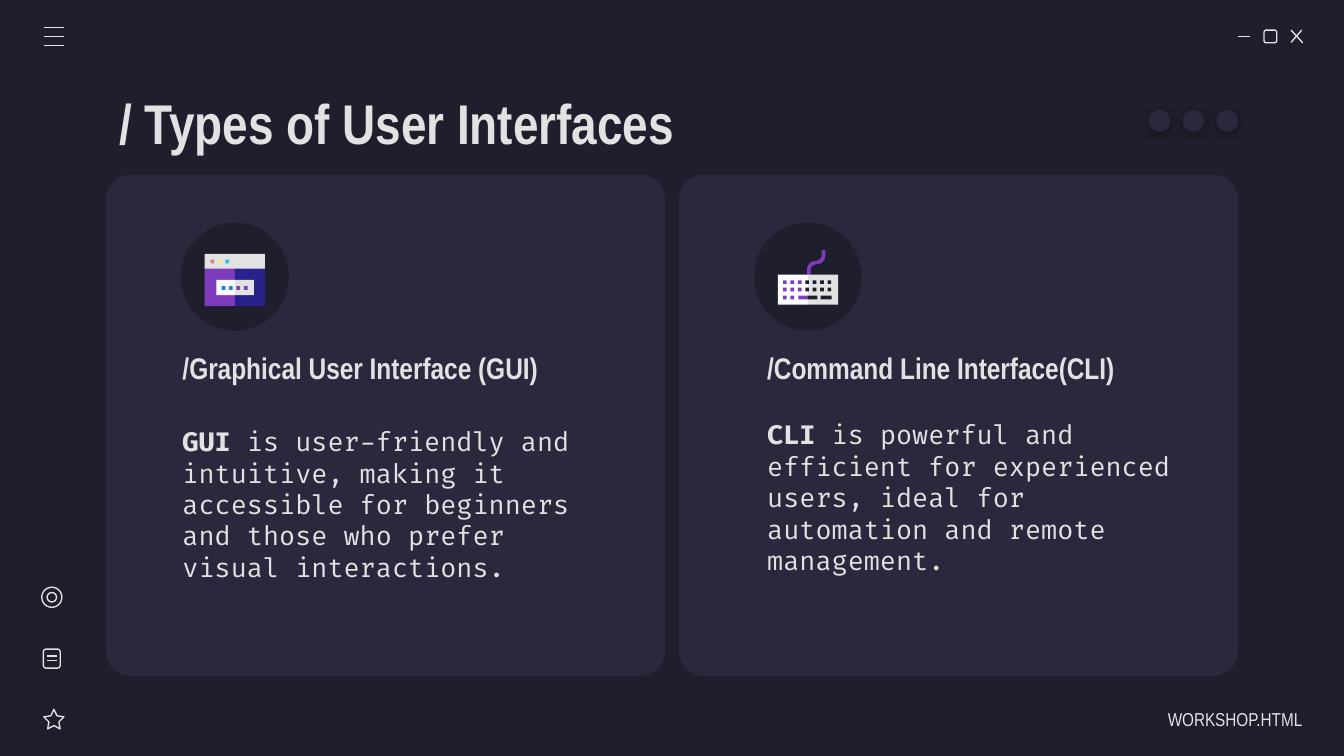
"""Build the slide comparing graphical and command line user interfaces."""
from dataclasses import dataclass

from lxml import etree
from pptx import Presentation
from pptx.dml.color import RGBColor
from pptx.enum.shapes import MSO_CONNECTOR, MSO_SHAPE
from pptx.enum.text import MSO_ANCHOR, PP_ALIGN
from pptx.oxml.ns import qn
from pptx.util import Cm, Pt

RECT, ROUND = MSO_SHAPE.RECTANGLE, MSO_SHAPE.ROUNDED_RECTANGLE
OVAL, STAR = MSO_SHAPE.OVAL, MSO_SHAPE.STAR_5_POINT
STRAIGHT = MSO_CONNECTOR.STRAIGHT
MIDDLE = MSO_ANCHOR.MIDDLE
LEFT, RIGHT = PP_ALIGN.LEFT, PP_ALIGN.RIGHT


@dataclass(frozen=True)
class Theme:
    """Colours, fonts and type sizes."""
    back: str = "1E1E2C"
    card: str = "29283D"
    light: str = "E2E2E2"
    white: str = "FFFFFF"
    purple: str = "7E3BBE"
    indigo: str = "2B218D"
    blue: str = "0887F2"
    cyan: str = "24BFEB"
    yellow: str = "FFEA7D"
    rose: str = "E07A88"
    head_font: str = "Arial Narrow"
    body_font: str = "Fira Code"
    title: float = 30
    heading: float = 16
    body: float = 14
    footer: float = 10
    stroke: float = 0.75


class Deck:
    """Holds the theme and the slide being drawn."""

    def __init__(self, s, theme):
        self.s, self.t = s, theme
        fill = s.background.fill
        fill.solid()
        fill.fore_color.rgb = RGBColor.from_string(theme.back)

    def paint(self, sp, fill):
        """Fill a shape, or outline it when no fill is given."""
        sp.shadow.inherit = False
        if fill:
            sp.fill.solid()
            sp.fill.fore_color.rgb = RGBColor.from_string(fill)
            sp.line.fill.background()
        else:
            sp.fill.background()
            self.stroke(sp)
        return sp

    def stroke(self, sp):
        """Give a shape or line the thin light stroke."""
        sp.line.color.rgb = RGBColor.from_string(self.t.light)
        sp.line.width = Pt(self.t.stroke)

    def shape(self, kind, x, y, w, h, fill=None, adj=None):
        """Add a preset shape."""
        sp = self.s.shapes.add_shape(kind, Cm(x), Cm(y), Cm(w), Cm(h))
        if adj is not None:
            sp.adjustments[0] = adj
        return self.paint(sp, fill)

    def line(self, x1, y1, x2, y2):
        """Add a thin straight line."""
        sp = self.s.shapes.add_connector(STRAIGHT, Cm(x1), Cm(y1), Cm(x2), Cm(y2))
        self.stroke(sp)
        etree.SubElement(sp._element.spPr, qn("a:effectLst"))

    def outline(self, points, fill):
        """Add a closed freeform."""
        pts = [(Cm(x), Cm(y)) for x, y in points]
        builder = self.s.shapes.build_freeform(*pts[0])
        builder.add_line_segments(pts[1:], close=True)
        return self.paint(builder.convert_to_shape(), fill)

    def shadow(self, sp):
        """Add a soft shadow below a shape."""
        effects = sp._element.spPr.find(qn("a:effectLst"))
        outer = etree.SubElement(effects, qn("a:outerShdw"), blurRad=str(Pt(4.5)),
                                 dist=str(Pt(1.5)), dir="5400000", algn="bl", rotWithShape="0")
        color = etree.SubElement(outer, qn("a:srgbClr"), val="000000")
        etree.SubElement(color, qn("a:alpha"), val="30000")

    def text(self, x, y, w, h, runs, size, font, align=LEFT, right=0.25):
        """Add a text box from (text, bold) runs."""
        tf = self.s.shapes.add_textbox(Cm(x), Cm(y), Cm(w), Cm(h)).text_frame
        tf.word_wrap = True
        tf.vertical_anchor = MIDDLE
        tf.margin_left = tf.margin_top = tf.margin_bottom = Cm(0.25)
        tf.margin_right = Cm(right)
        p = tf.paragraphs[0]
        p.alignment = align
        for words, bold in runs:
            r = p.add_run()
            r.text = words
            r.font.size, r.font.name, r.font.bold = Pt(size), font, bold
            r.font.color.rgb = RGBColor.from_string(self.t.light)

    def squares(self, x, y, colors):
        """Add a row of small squares."""
        for i, color in enumerate(colors):
            self.shape(RECT, x + 0.14 * i, y, 0.07, 0.07, color)


def bezier(a, b, c, d, steps=8):
    """Return points along a cubic curve, leaving out its start."""
    ts = [i / steps for i in range(1, steps + 1)]
    return [tuple((1 - t) ** 3 * p + 3 * t * (1 - t) ** 2 * q + 3 * t * t * (1 - t) * u + t ** 3 * v
                  for p, q, u, v in zip(a, b, c, d)) for t in ts]


def window_icon(d):
    """Draw the browser window."""
    t = d.t
    d.shape(RECT, 3.87, 5.07, 0.57, 0.72, t.purple)
    d.shape(RECT, 4.44, 5.07, 0.57, 0.72, t.indigo)
    d.shape(RECT, 3.87, 4.8, 1.14, 0.28, t.light)
    d.squares(3.98, 4.91, [t.rose, t.yellow, t.cyan])
    d.shape(RECT, 4.09, 5.29, 0.35, 0.29, t.white)
    d.shape(RECT, 4.44, 5.29, 0.36, 0.29, t.light)
    d.squares(4.19, 5.41, [t.blue] * 2 + [t.purple] * 2)


def keyboard_icon(d):
    """Draw the keyboard with its cable."""
    t = d.t
    bend = (15.39, 4.94)
    edge = [(15.53, 4.73), (15.53, 4.83)]
    edge += bezier(edge[-1], (15.53, 4.89), (15.46, 4.94), bend)
    edge += bezier(bend, (15.32, 4.94), (15.25, 5.01), (15.25, 5.11))
    edge.append((15.25, 5.2))
    d.outline(edge + [(30.85 - x, 9.93 - y) for x, y in edge], t.purple)
    d.shape(RECT, 14.7, 5.19, 0.57, 0.57, t.white)
    d.shape(RECT, 15.27, 5.19, 0.57, 0.57, t.light)
    for y in (5.3, 5.44):
        d.squares(14.8, y, [t.purple] * 3 + [t.back] * 4)
    d.squares(14.8, 5.59, [t.purple] * 2)
    for x, w, color in ((15.09, 0.18, t.purple), (15.27, 0.18, t.back), (15.51, 0.21, t.back)):
        d.shape(RECT, x, 5.59, w, 0.07, color)


def frame(d):
    """Draw the menu, window controls and side icons."""
    for y in (0.52, 0.69, 0.86):
        d.line(0.83, y, 1.21, y)
    d.line(23.39, 0.69, 23.63, 0.69)
    d.shape(ROUND, 23.89, 0.57, 0.24, 0.24)
    d.line(24.4, 0.57, 24.62, 0.81)
    d.line(24.6, 0.57, 24.4, 0.8)
    d.shape(OVAL, 0.79, 11.1, 0.38, 0.38)
    d.shape(OVAL, 0.89, 11.2, 0.18, 0.18)
    d.shape(ROUND, 0.82, 12.27, 0.32, 0.36)
    for y in (12.4, 12.49):
        d.line(0.89, y, 1.07, y)
    d.shape(STAR, 0.83, 13.41, 0.38, 0.37, adj=0.25)


def main():
    """Build and save the slide."""
    prs = Presentation()
    prs.slide_width, prs.slide_height = Cm(25.4), Cm(14.29)
    t = Theme()
    d = Deck(prs.slides.add_slide(prs.slide_layouts[6]), t)
    frame(d)
    d.text(2, 1.5, 21.4, 1.6, [("/ Types of User Interfaces", True)], t.title, t.head_font)
    for i in range(3):
        d.shadow(d.shape(OVAL, 21.71 + 0.64 * i, 2.08, 0.41, 0.41, t.card))
    cards = [
        (3.2, 7.75, window_icon, "/Graphical User Interface (GUI)", "GUI",
         " is user-friendly and intuitive, making it accessible for beginners "
         "and those who prefer visual interactions."),
        (14.25, 7.62, keyboard_icon, "/Command Line Interface(CLI)", "CLI",
         " is powerful and efficient for experienced users, ideal for automation "
         "and remote management."),
    ]
    for i, (x, y, icon, heading, term, detail) in enumerate(cards):
        left = 2 + 10.83 * i
        d.shape(ROUND, left, 3.3, 10.57, 9.48, t.card, 0.05)
        d.shape(OVAL, left + 1.42, 4.21, 2.04, 2.04, t.back)
        icon(d)
        d.text(x, 6.3, 8.18, 1.3, [(heading, True)], t.heading, t.head_font)
        d.text(x, y, 8.18, 3.56, [(term, True), (detail, False)], t.body, t.body_font)
    d.text(21.64, 13.21, 2.97, 0.76, [("WORKSHOP.HTML", False)], t.footer, t.head_font, RIGHT, 0)
    prs.save("out.pptx")


if __name__ == "__main__":
    main()
